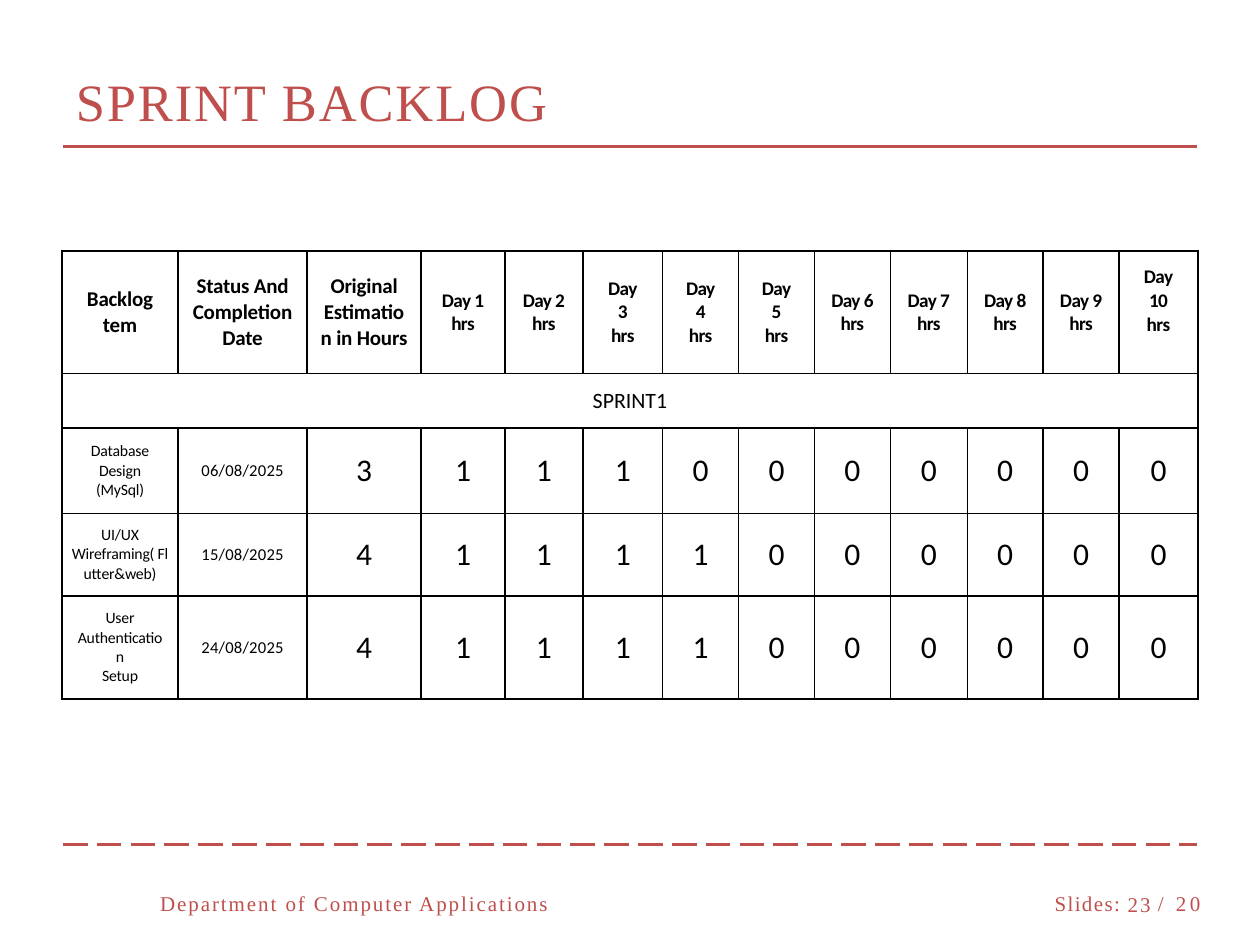
from lxml.etree import SubElement
from pptx import Presentation
from pptx.dml.color import RGBColor as Rgb
from pptx.enum.dml import MSO_LINE as Dash
from pptx.enum.shapes import MSO_CONNECTOR as Link
from pptx.enum.text import MSO_ANCHOR as Anchor, PP_ALIGN as Align
from pptx.oxml.ns import qn
from pptx.util import Cm, Pt

HUES = {"red": "BF4F4C", "black": "000000"}
COLS = [2.34, 2.6, 2.3, 1.69, 1.57, 1.61, 1.53, 1.53, 1.53, 1.55, 1.53, 1.53, 1.59]
ROWS = [2.47, 1.1, 1.72, 1.66, 2.08]
HEADS = ["Backlog\ntem", "Status And Completion\nDate", "Original Estimatio\nn in Hours"]
TALL = (3, 4, 5, 10)
ITEMS = [
    ("Database\nDesign\n(MySql)", "06/08/2025", 3),
    ("UI/UX\nWireframing( Fl\nutter&web)", "15/08/2025", 4),
    ("User\nAuthenticatio\nn\nSetup", "24/08/2025", 4),
]
DAYS = 10


def put(frame, text, size=12, font="Calibri", hue="black", bold=False, gap=0, align=Align.CENTER):
    """Write each line of text as one formatted paragraph."""
    frame.word_wrap = True
    for i, line in enumerate(text.split("\n")):
        para = frame.add_paragraph() if i else frame.paragraphs[0]
        para.alignment = align
        run = para.add_run()
        run.text = line
        run.font.size = Pt(size)
        run.font.name = font
        run.font.bold = bold
        run.font.color.rgb = Rgb.from_string(HUES[hue])
        run.font._element.set("spc", str(round(gap * 100)))


def label(slide, text, x, y, w, h, **form):
    """Add a red serif text box without insets."""
    frame = slide.shapes.add_textbox(Cm(x), Cm(y), Cm(w), Cm(h)).text_frame
    frame.margin_left = frame.margin_right = frame.margin_top = frame.margin_bottom = 0
    put(frame, text, font="Times New Roman", hue="red", align=Align.LEFT, **form)


def rule(slide, y, dash=None):
    """Draw a red line across the slide."""
    line = slide.shapes.add_connector(Link.STRAIGHT, Cm(1.27), Cm(y), Cm(24.13), Cm(y))
    line.line.color.rgb = Rgb.from_string(HUES["red"])
    line.line.width = Pt(1.75)
    line.line.dash_style = dash
    SubElement(line._element.spPr, qn("a:effectLst"))


def frame_cell(cell):
    """Clear the fill and insets of a cell and give it thin black borders."""
    props = cell._tc.get_or_add_tcPr()
    for side in ("lnL", "lnR", "lnT", "lnB"):
        edge = SubElement(props, qn("a:" + side), w=str(Pt(1)))
        fill = SubElement(edge, qn("a:solidFill"))
        SubElement(fill, qn("a:srgbClr"), val=HUES["black"])
    cell.fill.background()
    cell.margin_left = cell.margin_right = cell.margin_top = cell.margin_bottom = 0
    cell.vertical_anchor = Anchor.MIDDLE


def make_grid(slide):
    """Add the empty bordered table."""
    shape = slide.shapes.add_table(len(ROWS), len(COLS), Cm(1.25), Cm(5.06), Cm(sum(COLS)), Cm(sum(ROWS)))
    grid = shape.table
    grid.first_row = grid.horz_banding = False
    for col, wide in zip(grid.columns, COLS):
        col.width = Cm(wide)
    for row, high in zip(grid.rows, ROWS):
        row.height = Cm(high)
    for cell in grid.iter_cells():
        frame_cell(cell)
    return grid


def fill_grid(grid):
    """Write the headings, the sprint band and the hours."""
    for c, head in enumerate(HEADS):
        put(grid.cell(0, c).text_frame, head, bold=True, gap=-0.1)
    for day in range(1, DAYS + 1):
        split = "\n" if day in TALL else " "
        put(grid.cell(0, day + 2).text_frame, f"Day{split}{day}\nhrs", size=11, bold=True, gap=-0.35)
    grid.cell(0, DAYS + 2).margin_bottom = Cm(0.45)
    grid.cell(1, 0).merge(grid.cell(1, len(COLS) - 1))
    put(grid.cell(1, 0).text_frame, "SPRINT1", size=12.5)
    for r, (item, date, hours) in enumerate(ITEMS, 2):
        put(grid.cell(r, 0).text_frame, item, size=9, gap=-0.1)
        put(grid.cell(r, 1).text_frame, date, size=9.5, gap=0.15)
        put(grid.cell(r, 2).text_frame, str(hours), size=18)
        for day in range(1, DAYS + 1):
            put(grid.cell(r, day + 2).text_frame, str(int(day <= hours)), size=18)


def main():
    """Build and save the slide."""
    deck = Presentation()
    deck.slide_width, deck.slide_height = Cm(25.4), Cm(19.05)
    slide = deck.slides.add_slide(deck.slide_layouts[6])
    rule(slide, 17.02, Dash.LONG_DASH)
    rule(slide, 2.96)
    label(slide, "SPRINT BACKLOG", 1.53, 1.4, 11, 1.2, size=30, gap=1.1)
    label(slide, "Department of Computer Applications", 3.23, 17.96, 9, 0.5, gap=1.1)
    label(slide, "Slides:", 21.26, 17.96, 1.42, 0.5, gap=0.8)
    label(slide, "23", 22.73, 17.98, 0.56, 0.5, gap=1.2)
    label(slide, "/ 20", 23.34, 17.96, 1.1, 0.5, gap=2)
    fill_grid(make_grid(slide))
    deck.save("out.pptx")


if __name__ == "__main__":
    main()
